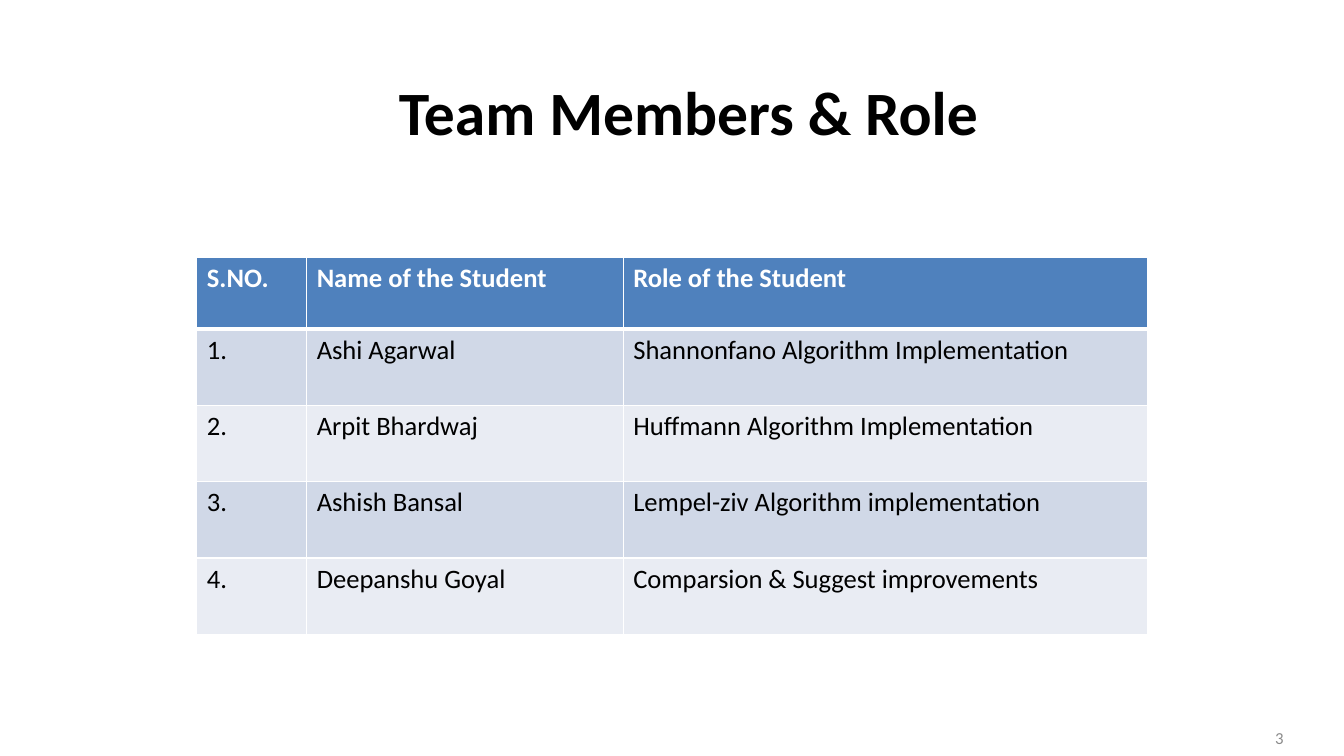
from dataclasses import dataclass

from lxml import etree
from pptx import Presentation
from pptx.dml.color import RGBColor
from pptx.enum import text
from pptx.oxml import ns
from pptx.util import Pt


@dataclass(frozen=True)
class Theme:
    font: str = "Calibri"
    title_size: float = 44
    table_size: float = 19
    number_size: float = 12
    ink: str = "000000"
    white: str = "FFFFFF"
    muted: str = "8B8B8B"
    header_fill: str = "4F81BD"
    band_fills: tuple = ("D0D8E7", "E9ECF3")
    border: float = 0.96
    header_border: float = 3


THEME = Theme()

HEADINGS = ("S.NO.", "Name of the Student", "Role of the Student")
MEMBERS = (
    ("Ashi Agarwal", "Shannonfano Algorithm Implementation"),
    ("Arpit Bhardwaj", "Huffmann Algorithm Implementation"),
    ("Ashish Bansal", "Lempel-ziv Algorithm implementation"),
    ("Deepanshu Goyal", "Comparsion & Suggest improvements"),
)
COLUMN_WIDTHS = (78.5, 226.1, 374.4)
HEADER_HEIGHT, MEMBER_HEIGHT = 51.1, 54.5


def write(frame, wording, size, color, bold=False, align=text.PP_ALIGN.LEFT):
    """Fill a text frame with one formatted paragraph."""
    frame.text = wording
    paragraph = frame.paragraphs[0]
    paragraph.alignment = align
    font = paragraph.font
    font.name, font.size, font.bold = THEME.font, Pt(size), bold
    font.color.rgb = RGBColor.from_string(color)


def add_title(slide, wording):
    title = slide.shapes.title
    title.left, title.top, title.width, title.height = Pt(60), Pt(34), Pt(864), Pt(90)
    title.text_frame.vertical_anchor = text.MSO_ANCHOR.MIDDLE
    write(title.text_frame, wording, THEME.title_size, THEME.ink, True, text.PP_ALIGN.CENTER)


def add_slide_number(slide, number):
    box = slide.shapes.add_textbox(Pt(700), Pt(512.5), Pt(224), Pt(28.75))
    box.text_frame.word_wrap = True
    box.text_frame.vertical_anchor = text.MSO_ANCHOR.MIDDLE
    write(box.text_frame, number, THEME.number_size, THEME.muted, align=text.PP_ALIGN.RIGHT)


def set_borders(cell, **widths):
    """Draw white borders; sides are given in the order L, R, T, B."""
    properties = cell._tc.get_or_add_tcPr()
    for side, width in widths.items():
        line = etree.SubElement(properties, ns.qn(f"a:ln{side}"), w=str(Pt(width)))
        fill = etree.SubElement(line, ns.qn("a:solidFill"))
        etree.SubElement(fill, ns.qn("a:srgbClr"), val=THEME.white)


def format_cell(cell, wording, row):
    is_header = row == 0
    top = THEME.header_border if row == 1 else THEME.border
    bottom = THEME.header_border if is_header else THEME.border
    set_borders(cell, L=THEME.border, R=THEME.border, T=top, B=bottom)
    band = THEME.band_fills[(row - 1) % len(THEME.band_fills)]
    cell.fill.solid()
    cell.fill.fore_color.rgb = RGBColor.from_string(THEME.header_fill if is_header else band)
    color = THEME.white if is_header else THEME.ink
    write(cell.text_frame, wording, THEME.table_size, color, is_header)


def add_member_table(slide):
    rows = [HEADINGS] + [(f"{i}.", *member) for i, member in enumerate(MEMBERS, 1)]
    heights = [HEADER_HEIGHT] + [MEMBER_HEIGHT] * len(MEMBERS)
    table = slide.shapes.add_table(
        len(rows), len(HEADINGS), Pt(140.6), Pt(184),
        Pt(sum(COLUMN_WIDTHS)), Pt(sum(heights)),
    ).table
    for column, width in zip(table.columns, COLUMN_WIDTHS):
        column.width = Pt(width)
    for row, (wordings, height) in enumerate(zip(rows, heights)):
        table.rows[row].height = Pt(height)
        for column, wording in enumerate(wordings):
            format_cell(table.cell(row, column), wording, row)


def main():
    presentation = Presentation()
    presentation.slide_width, presentation.slide_height = Pt(960), Pt(540)
    # The "Title Only" layout
    slide = presentation.slides.add_slide(presentation.slide_layouts[5])

    add_slide_number(slide, "3")
    add_title(slide, "Team Members & Role")
    add_member_table(slide)

    presentation.save("out.pptx")


if __name__ == "__main__":
    main()
